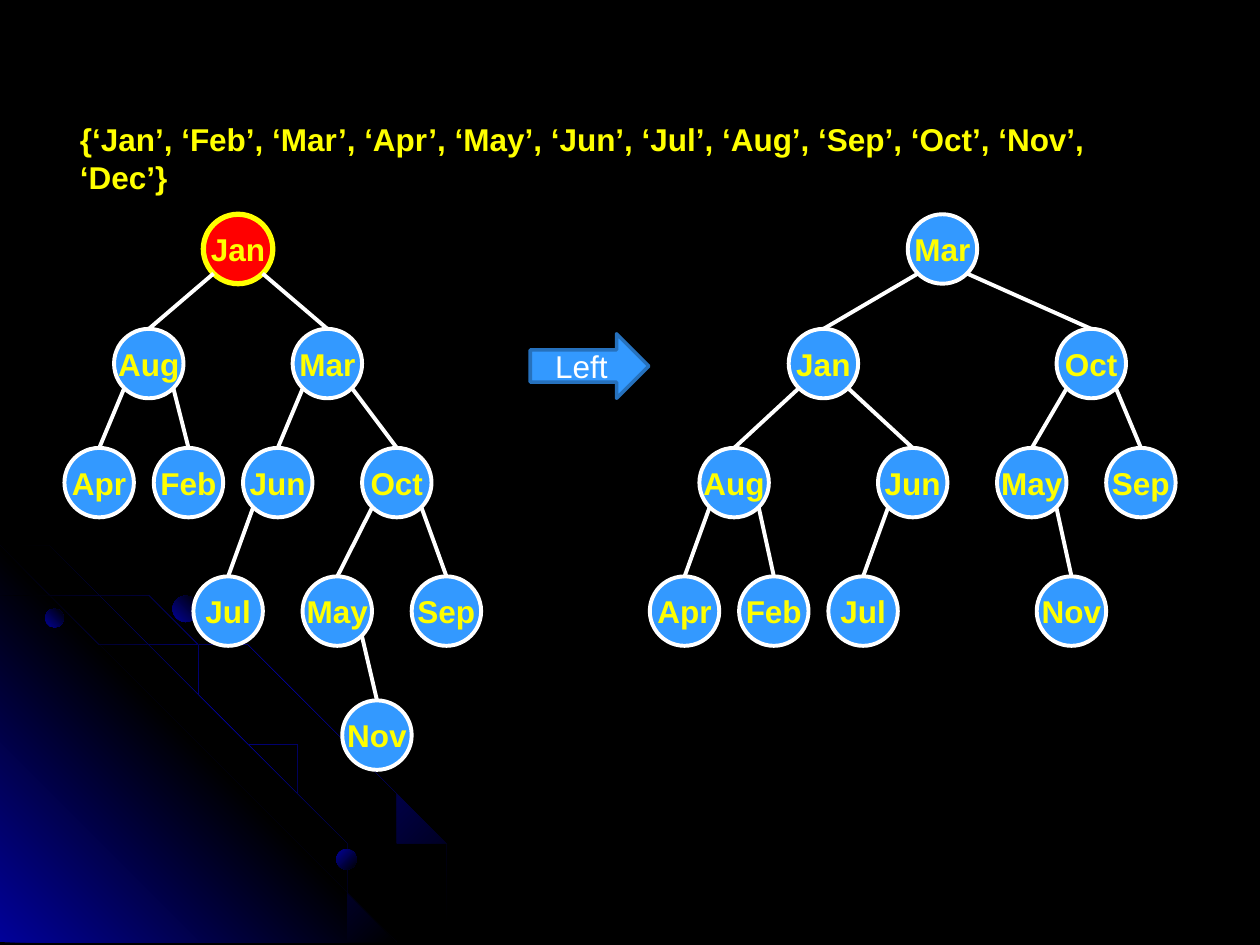
from copy import deepcopy
from dataclasses import dataclass

from lxml import etree
from pptx import Presentation, util as u
from pptx.dml.color import RGBColor
from pptx.enum import shapes, text
from pptx.oxml import ns

WIDTH, HEIGHT = 25.4, 19.05
RADIUS = 0.7
CORNER = RADIUS * 0.5 ** 0.5
LEVELS = [5.02, 7.33, 9.73, 12.32, 14.82]  # node centres, in cm

# Each node is (month, centre x in cm, children)
BEFORE = ("Jan", 4.8, [
    ("Aug", 3.0, [("Apr", 2.0, []), ("Feb", 3.8, [])]),
    ("Mar", 6.6, [
        ("Jun", 5.6, [("Jul", 4.6, [])]),
        ("Oct", 8.0, [("May", 6.8, [("Nov", 7.6, [])]), ("Sep", 9.0, [])]),
    ]),
])
AFTER = ("Mar", 19.0, [
    ("Jan", 16.6, [
        ("Aug", 14.8, [("Apr", 13.8, []), ("Feb", 15.6, [])]),
        ("Jun", 18.4, [("Jul", 17.4, [])]),
    ]),
    ("Oct", 22.0, [("May", 20.8, [("Nov", 21.6, [])]), ("Sep", 23.0, [])]),
])

OUTER_ARC = [(0, 11.05), (1.45, 11.35), (2.49, 11.66), (3.45, 12.12), (4.42, 12.62),
             (5.31, 13.23), (6.15, 13.92), (6.91, 14.68), (7.62, 15.52), (8.26, 16.46),
             (8.61, 17.09), (8.94, 17.73), (9.19, 18.36), (9.45, 19.02)]
INNER_ARC = [(0, 12.07), (1.04, 12.4), (2.01, 12.83), (2.97, 13.36), (3.86, 13.94),
             (4.67, 14.63), (5.46, 15.39), (6.15, 16.26), (6.76, 17.17), (7.26, 18.08),
             (7.52, 18.54), (7.7, 19.02)]
MIDDLE_ARC = [(0, 11.23), (0.99, 11.56), (1.93, 12.01), (2.82, 12.52), (3.66, 13.11),
              (4.45, 13.79), (5.18, 14.55), (5.82, 15.32), (6.45, 16.23), (6.83, 16.89),
              (7.16, 17.6), (7.47, 18.29), (7.7, 19.02)]
CORNER_GLOW = [(8.18, 19.02), (0, 19.02), (0, 10.85)]
PLANETS = [(0.91, 12.27, 0.38, 45), (6.78, 17.12, 0.41, 315), (3.48, 12.01, 0.53, 45)]


@dataclass(frozen=True)
class Theme:
    background: str = "000000"
    glow: str = "010199"
    node: str = "3399FF"
    unbalanced: str = "FF0000"
    outline: str = "FFFFFF"
    label: str = "FFFF00"
    arrow_outline: str = "2671BD"
    font: str = "Arial"
    size: int = 18
    stroke: float = 2.25
    strong_stroke: float = 3
    arrow_stroke: float = 2


class TreeSlide:
    def __init__(self, slide, theme):
        self.slide, self.theme = slide, theme
        slide.background.fill.solid()
        slide.background.fill.fore_color.rgb = RGBColor.from_string(theme.background)

    def label(self, frame, words, color, bold=True, align=text.PP_ALIGN.CENTER, wrap=False):
        frame.text = words
        frame.word_wrap = wrap
        paragraph = frame.paragraphs[0]
        paragraph.alignment = align
        font = paragraph.runs[0].font
        font.name, font.size, font.bold = self.theme.font, u.Pt(self.theme.size), bold
        font.color.rgb = RGBColor.from_string(color)

    def stroke(self, line, color, width):
        line.color.rgb = RGBColor.from_string(color)
        line.width = u.Pt(width)

    def preset(self, kind, left, top, width, height):
        shape = self.slide.shapes.add_shape(
            kind, u.Cm(left), u.Cm(top), u.Cm(width), u.Cm(height))
        shape.shadow.inherit = False
        return shape

    def solid(self, shape, fill, outline, width):
        shape.fill.solid()
        shape.fill.fore_color.rgb = RGBColor.from_string(fill)
        self.stroke(shape.line, outline, width)

    def gradient(self, shape, colors, angle):
        """Spread the colours evenly; the angle runs counter-clockwise."""
        shape.line.fill.background()
        shape.fill.gradient()
        shape.fill.gradient_angle = angle
        stop_list = next(shape.element.iter(ns.qn("a:gsLst")))
        while len(stop_list) < len(colors):
            stop_list.append(deepcopy(stop_list[0]))
        for i, (stop, color) in enumerate(zip(shape.fill.gradient_stops, colors)):
            stop.position = i / (len(colors) - 1)
            stop.color.rgb = RGBColor.from_string(color)

    def outline(self, points, colors, angle):
        builder = self.slide.shapes.build_freeform(*points[0], scale=u.Cm(1))
        builder.add_line_segments(points[1:], close=True)
        shape = builder.convert_to_shape()
        shape.shadow.inherit = False
        self.gradient(shape, colors, angle)

    def arc(self, edge):
        """Draw a thin band below the given edge, kept within the slide."""
        lower = [(max(x - 0.03, 0), min(y + 0.05, HEIGHT)) for x, y in reversed(edge)]
        dark, glow = self.theme.background, self.theme.glow
        self.outline(edge + lower, [dark, glow, dark], 315)

    def backdrop(self):
        dark, glow = self.theme.background, self.theme.glow
        self.arc(OUTER_ARC)
        self.outline(CORNER_GLOW, [glow, dark, glow], 45)
        self.arc(INNER_ARC)
        self.arc(MIDDLE_ARC)
        for left, top, size, angle in PLANETS:
            planet = self.preset(shapes.MSO_SHAPE.OVAL, left, top, size, size)
            self.gradient(planet, [glow, dark], angle)

    def node(self, month, x, y, unbalanced):
        theme = self.theme
        circle = self.preset(shapes.MSO_SHAPE.OVAL, x - RADIUS, y - RADIUS,
                             2 * RADIUS, 2 * RADIUS)
        if unbalanced:
            self.solid(circle, theme.unbalanced, theme.label, theme.strong_stroke)
        else:
            self.solid(circle, theme.node, theme.outline, theme.stroke)
        self.label(circle.text_frame, month, theme.label)

    def edge(self, x, y, child_x, child_y):
        """Join a parent's lower corner to the top of its child."""
        side = CORNER if child_x > x else -CORNER
        line = self.slide.shapes.add_connector(
            shapes.MSO_CONNECTOR.STRAIGHT, u.Cm(x + side), u.Cm(y + CORNER),
            u.Cm(child_x), u.Cm(child_y - RADIUS))
        self.stroke(line.line, self.theme.outline, self.theme.stroke)
        etree.SubElement(line.element.spPr, ns.qn("a:effectLst"))

    def tree(self, root, level=0, unbalanced=False):
        month, x, children = root
        self.node(month, x, LEVELS[level], unbalanced)
        for child in children:
            self.tree(child, level + 1)
            self.edge(x, LEVELS[level], child[1], LEVELS[level + 1])

    def heading(self, words, left, top, width, height):
        box = self.slide.shapes.add_textbox(
            u.Cm(left), u.Cm(top), u.Cm(width), u.Cm(height))
        self.label(box.text_frame, words, self.theme.label,
                   align=text.PP_ALIGN.LEFT, wrap=True)

    def arrow(self, words, left, top, width, height):
        theme = self.theme
        arrow = self.preset(shapes.MSO_SHAPE.RIGHT_ARROW, left, top, width, height)
        self.solid(arrow, theme.node, theme.arrow_outline, theme.arrow_stroke)
        self.label(arrow.text_frame, words, theme.outline, bold=False)


def main():
    deck = Presentation()
    deck.slide_width, deck.slide_height = u.Cm(WIDTH), u.Cm(HEIGHT)
    page = TreeSlide(deck.slides.add_slide(deck.slide_layouts[6]), Theme())
    page.backdrop()
    page.tree(BEFORE, unbalanced=True)
    page.tree(AFTER)
    page.heading("{‘Jan’, ‘Feb’, ‘Mar’, ‘Apr’, ‘May’, ‘Jun’, ‘Jul’, ‘Aug’, "
                 "‘Sep’, ‘Oct’, ‘Nov’, ‘Dec’}", 1.36, 2.3, 22.66, 1.02)
    page.arrow("Left", 10.69, 6.73, 2.39, 1.3)
    deck.save("out.pptx")


if __name__ == "__main__":
    main()
